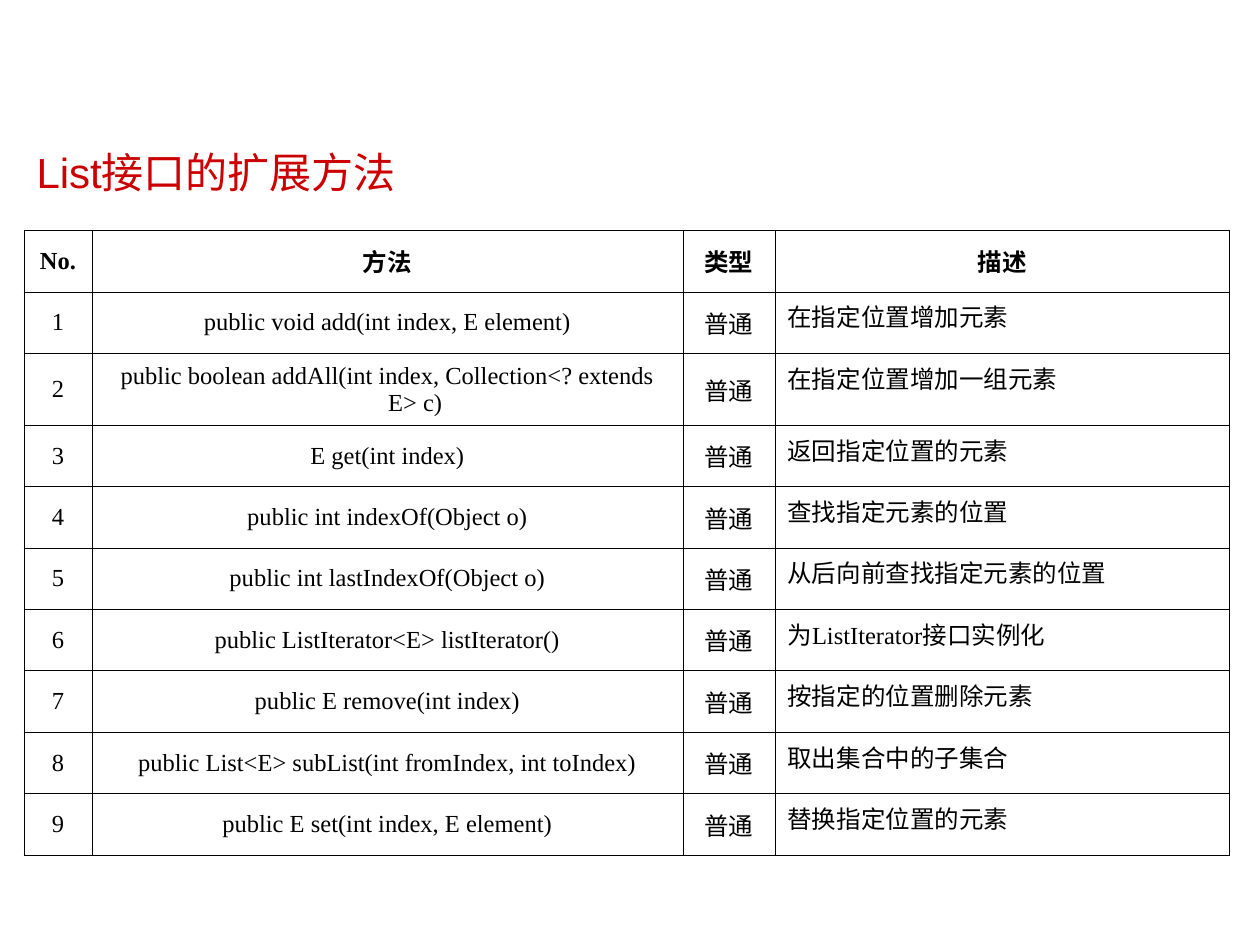
from lxml import etree
from pptx import Presentation
from pptx.dml.color import RGBColor
from pptx.enum.shapes import MSO_CONNECTOR
from pptx.enum.text import MSO_ANCHOR, PP_ALIGN
from pptx.oxml.ns import qn
from pptx.util import Inches, Pt

LEFT, CENTER = PP_ALIGN.LEFT, PP_ALIGN.CENTER
TOP, MIDDLE = MSO_ANCHOR.TOP, MSO_ANCHOR.MIDDLE
STRAIGHT = MSO_CONNECTOR.STRAIGHT
RED = RGBColor(0xCC, 0x00, 0x00)
BLACK = RGBColor(0x00, 0x00, 0x00)
WHITE = RGBColor(0xFF, 0xFF, 0xFF)

COLS = [0.54, 4.69, 0.73, 3.61]
HIGH, TALL = 4.96, 0.57
HEADS = ["No.", "方法", "类型", "描述"]
KIND = "普通"
METHODS = [
    ("public void add(int index, E element)", "在指定位置增加元素"),
    ("public boolean addAll(int index, Collection<? extends E> c)",
     "在指定位置增加一组元素"),
    ("E get(int index)", "返回指定位置的元素"),
    ("public int indexOf(Object o)", "查找指定元素的位置"),
    ("public int lastIndexOf(Object o)", "从后向前查找指定元素的位置"),
    ("public ListIterator<E> listIterator()", "为ListIterator接口实例化"),
    ("public E remove(int index)", "按指定的位置删除元素"),
    ("public List<E> subList(int fromIndex, int toIndex)", "取出集合中的子集合"),
    ("public E set(int index, E element)", "替换指定位置的元素"),
]


def write(frame, text, size=14, font="Times New Roman", color=BLACK,
          bold=False, align=CENTER, space=None, hang=0):
    para = frame.paragraphs[0]
    para.alignment = align
    para.line_spacing = space
    if hang:
        props = para._p.get_or_add_pPr()
        props.set("marL", str(Inches(hang)))
        props.set("indent", str(-Inches(hang)))
    run = para.add_run()
    run.text = text
    run.font.size = Pt(size)
    run.font.name = font
    run.font.bold = bold
    run.font.color.rgb = color


def add_rule(slide, x, top, bottom):
    rule = slide.shapes.add_connector(
        STRAIGHT, Inches(x), Inches(top), Inches(x), Inches(bottom))
    rule.line.color.rgb = WHITE
    rule.line.width = Pt(0.75)
    etree.SubElement(rule._element.spPr, qn("a:effectLst"))


def add_title(slide, text):
    title = slide.shapes.title
    title.left, title.top = Inches(0.19), Inches(0.96)
    title.width, title.height = Inches(9.57), Inches(0.86)
    title.text_frame.vertical_anchor = MIDDLE
    write(title.text_frame, text, size=24, font="Arial", color=RED,
          align=LEFT, space=0.9)


def add_edges(cell):
    props = cell._tc.get_or_add_tcPr()
    for side in ("a:lnL", "a:lnR", "a:lnT", "a:lnB"):
        line = etree.SubElement(props, qn(side), w=str(Pt(0.45)))
        fill = etree.SubElement(line, qn("a:solidFill"))
        etree.SubElement(fill, qn("a:srgbClr"), val=str(BLACK))


def fill_cell(cell, text, head, note):
    add_edges(cell)
    cell.fill.background()
    cell.vertical_anchor = TOP if note else MIDDLE
    write(cell.text_frame, text, bold=head, align=LEFT if note else CENTER,
          hang=0.44)


def add_grid(slide, rows):
    heights = [(HIGH - TALL) / (len(rows) - 1)] * len(rows)
    heights[2] = TALL  # its method takes two lines
    grid = slide.shapes.add_table(
        len(rows), len(COLS), Inches(0.19), Inches(1.83),
        Inches(sum(COLS)), Inches(HIGH)).table
    grid.first_row = grid.horz_banding = False
    for col, width in zip(grid.columns, COLS):
        col.width = Inches(width)
    for r, (row, height) in enumerate(zip(rows, heights)):
        grid.rows[r].height = Inches(height)
        for c, text in enumerate(row):
            fill_cell(grid.cell(r, c), text, head=r == 0,
                      note=r > 0 and c == len(COLS) - 1)


def main():
    deck = Presentation()
    deck.slide_width, deck.slide_height = Inches(10), Inches(7.5)
    slide = deck.slides.add_slide(deck.slide_layouts[5])

    # Footer rule
    add_rule(slide, 0.93, 7.09, 7.3)

    # Heading
    add_title(slide, "List接口的扩展方法")

    # Table of methods, numbered from 1
    rows = [HEADS] + [[str(n), call, KIND, note]
                      for n, (call, note) in enumerate(METHODS, 1)]
    add_grid(slide, rows)

    deck.save("out.pptx")


if __name__ == "__main__":
    main()
